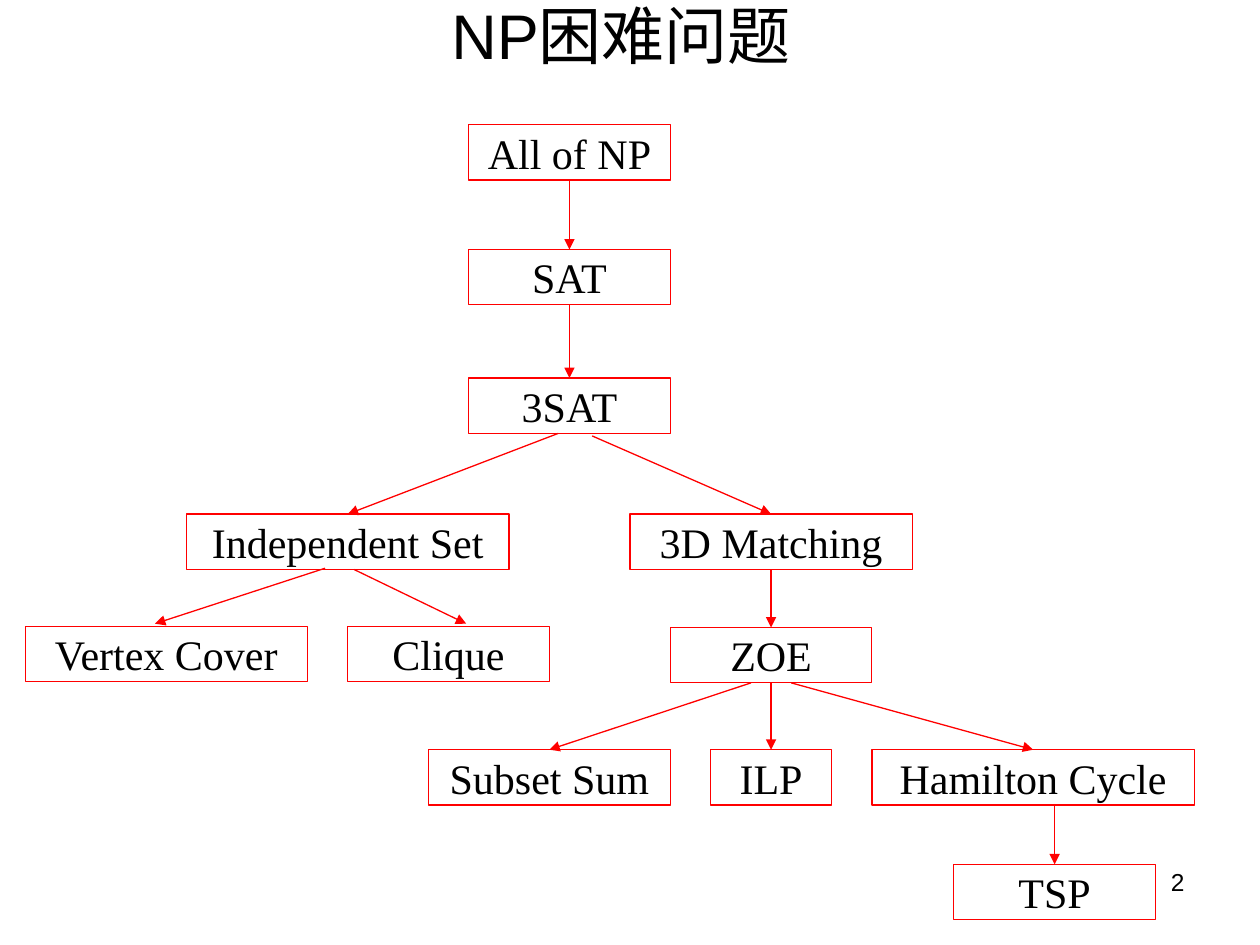
from dataclasses import dataclass

from lxml.etree import SubElement
from pptx import Presentation
from pptx.dml.color import RGBColor
from pptx.enum.shapes import MSO_CONNECTOR, MSO_SHAPE
from pptx.enum.text import MSO_ANCHOR, PP_ALIGN
from pptx.oxml.ns import qn
from pptx.util import Inches, Pt


@dataclass(frozen=True)
class Theme:
    ink: RGBColor = RGBColor(0, 0, 0)
    paper: RGBColor = RGBColor(255, 255, 255)
    accent: RGBColor = RGBColor(255, 0, 0)
    line_width: float = 0.75
    heading_font: str = "Arial"
    node_font: str = "Times New Roman"
    title_size: int = 36
    node_size: int = 24
    number_size: int = 14


class Sketch:
    """Holds the theme and the slide being drawn."""

    node_height = 0.44

    def __init__(self, slide, theme):
        self.slide = slide
        self.theme = theme

    def add_text(self, shape, text, font, size, align, anchor):
        frame = shape.text_frame
        frame.word_wrap = True
        frame.vertical_anchor = anchor
        para = frame.paragraphs[0]
        para.alignment = align
        span = para.add_run()
        span.text = text
        span.font.name = font
        span.font.size = Pt(size)
        span.font.color.rgb = self.theme.ink

    def label(self, text, left, top, width, height, size, align, anchor):
        box = self.slide.shapes.add_textbox(
            Inches(left), Inches(top), Inches(width), Inches(height))
        self.add_text(box, text, self.theme.heading_font, size, align, anchor)

    def node(self, text, left, top, width):
        box = self.slide.shapes.add_shape(
            MSO_SHAPE.RECTANGLE, Inches(left), Inches(top),
            Inches(width), Inches(self.node_height))
        box.shadow.inherit = False
        box.fill.solid()
        box.fill.fore_color.rgb = self.theme.paper
        box.line.color.rgb = self.theme.accent
        box.line.width = Pt(self.theme.line_width)
        frame = box.text_frame
        frame.margin_left = frame.margin_right = Inches(0.02)
        frame.margin_top = frame.margin_bottom = 0
        self.add_text(box, text, self.theme.node_font, self.theme.node_size,
                      PP_ALIGN.CENTER, MSO_ANCHOR.MIDDLE)
        return box

    def arrow(self, parent, child, start=None, end=None):
        """Join bottom to top, unless a free (x, y) point is given."""
        points = [Inches(value) for value in (start or (0, 0)) + (end or (0, 0))]
        arrow = self.slide.shapes.add_connector(MSO_CONNECTOR.STRAIGHT, *points)
        if start is None:
            arrow.begin_connect(parent, 2)
        if end is None:
            arrow.end_connect(child, 0)
        arrow.line.color.rgb = self.theme.accent
        arrow.line.width = Pt(self.theme.line_width)
        properties = arrow._element.spPr
        SubElement(properties.find(qn("a:ln")), qn("a:tailEnd"), type="triangle")
        SubElement(properties, qn("a:effectLst"))


# Problem: left, top, width
NODES = {
    "All of NP": (3.72, 0.99, 1.6),
    "SAT": (3.72, 1.98, 1.6),
    "3SAT": (3.72, 3, 1.6),
    "Independent Set": (1.48, 4.08, 2.56),
    "3D Matching": (5, 4.08, 2.24),
    "Vertex Cover": (0.2, 4.97, 2.24),
    "Clique": (2.76, 4.97, 1.6),
    "ZOE": (5.32, 4.98, 1.6),
    "Subset Sum": (3.4, 5.95, 1.92),
    "ILP": (5.64, 5.95, 0.96),
    "Hamilton Cycle": (6.92, 5.95, 2.56),
    "TSP": (7.57, 6.86, 1.6),
}

# Reductions: parent, child, then free start and end points if any
REDUCTIONS = [
    ("All of NP", "SAT"),
    ("SAT", "3SAT"),
    ("3SAT", "Independent Set", (4.43, 3.44)),
    ("3SAT", "3D Matching", (4.7, 3.46)),
    ("Independent Set", "Vertex Cover", (2.58, 4.51), (1.23, 4.95)),
    ("Independent Set", "Clique", (2.81, 4.52), (3.7, 4.95)),
    ("3D Matching", "ZOE"),
    ("ZOE", "Subset Sum", (5.96, 5.42)),
    ("ZOE", "ILP"),
    ("ZOE", "Hamilton Cycle", (6.28, 5.42)),
    ("Hamilton Cycle", "TSP", (8.37, 6.38)),
]


def main():
    deck = Presentation()
    deck.slide_width, deck.slide_height = Inches(10), Inches(7.5)
    page = deck.slides.add_slide(deck.slide_layouts[6])
    theme = Theme()
    sketch = Sketch(page, theme)

    # Slide number and title
    sketch.label("2", 7.17, 6.83, 2.33, 0.52, theme.number_size,
                 PP_ALIGN.RIGHT, MSO_ANCHOR.TOP)
    sketch.label("NP困难问题", 0.43, 0, 9, 0.54, theme.title_size,
                 PP_ALIGN.CENTER, MSO_ANCHOR.MIDDLE)

    # Reduction tree
    boxes = {name: sketch.node(name, *place) for name, place in NODES.items()}
    for parent, child, *ends in REDUCTIONS:
        sketch.arrow(boxes[parent], boxes[child], *ends)

    deck.save("out.pptx")


if __name__ == "__main__":
    main()
